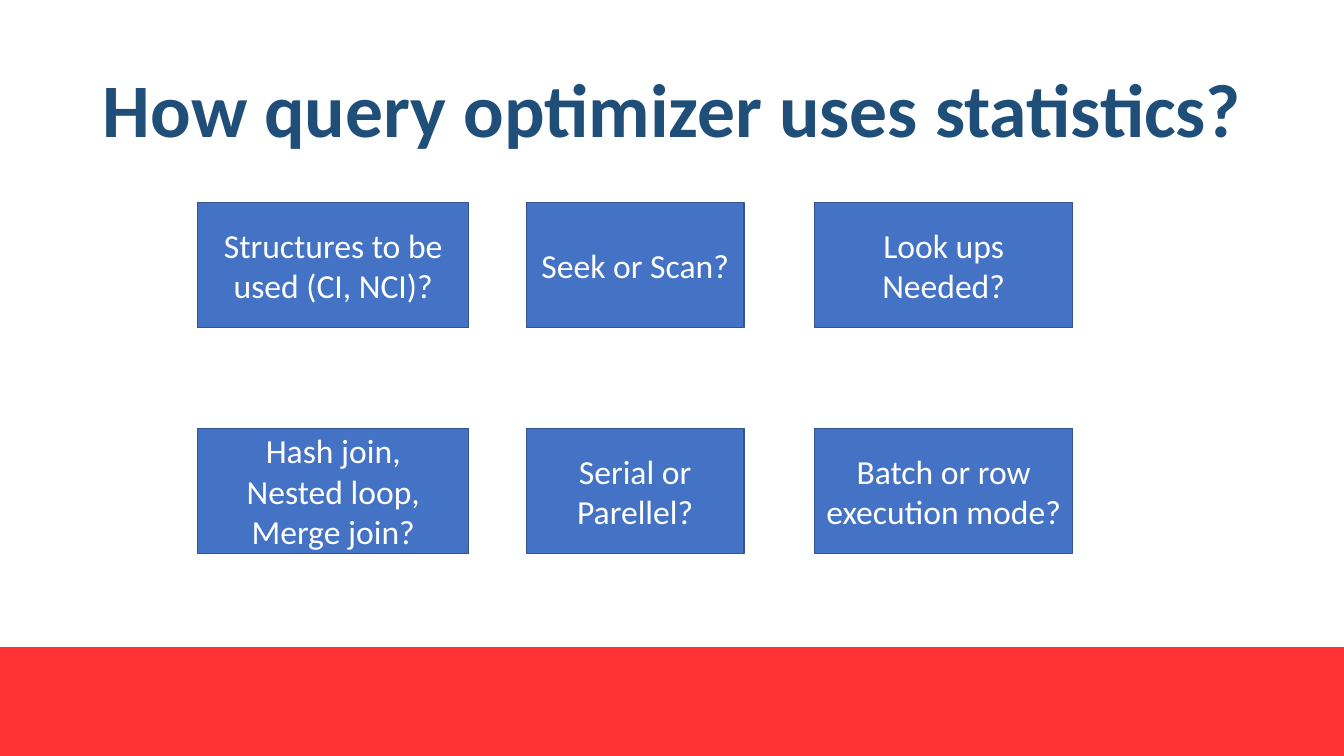
from dataclasses import dataclass

from pptx import Presentation
from pptx.dml.color import RGBColor
from pptx.enum.shapes import MSO_SHAPE
from pptx.enum.text import MSO_ANCHOR, PP_ALIGN
from pptx.util import Inches, Pt

RECT = MSO_SHAPE.RECTANGLE
MIDDLE = MSO_ANCHOR.MIDDLE
LEFT, CENTER = PP_ALIGN.LEFT, PP_ALIGN.CENTER


@dataclass
class Theme:
    font: str = "Calibri"
    navy: RGBColor = RGBColor(0x1F, 0x4E, 0x79)
    blue: RGBColor = RGBColor(0x44, 0x72, 0xC4)
    edge: RGBColor = RGBColor(0x32, 0x54, 0x91)
    red: RGBColor = RGBColor(0xFF, 0x33, 0x33)
    white: RGBColor = RGBColor(0xFF, 0xFF, 0xFF)
    head: int = 54
    body: int = 24


theme = Theme()


def write(shape, text, size, color, bold=False, align=CENTER, space=1.0):
    frame = shape.text_frame
    frame.word_wrap = True
    frame.vertical_anchor = MIDDLE
    frame.text = text
    for para in frame.paragraphs:
        para.alignment = align
        para.line_spacing = space
        for run in para.runs:
            run.font.name = theme.font
            run.font.size = Pt(size)
            run.font.bold = bold
            run.font.color.rgb = color


def add_box(shapes, left, top, width, height, fill):
    box = shapes.add_shape(RECT, Inches(left), Inches(top), Inches(width), Inches(height))
    box.shadow.inherit = False
    box.fill.solid()
    box.fill.fore_color.rgb = fill
    box.line.fill.background()
    return box


deck = Presentation()
deck.slide_width, deck.slide_height = Inches(13.33), Inches(7.5)
slide = deck.slides.add_slide(deck.slide_layouts[5])

add_box(slide.shapes, 0, 6.42, 13.33, 1.08, theme.red)

title = slide.shapes.title
title.left, title.top = Inches(0.92), Inches(0.4)
title.width, title.height = Inches(11.5), Inches(1.45)
write(title, "How query optimizer uses statistics?", theme.head, theme.navy,
      bold=True, align=LEFT, space=0.9)

cols = [(1.96, 2.69), (5.22, 2.16), (8.08, 2.56)]
rows = [
    (2.01, ["Structures to be used (CI, NCI)?", "Seek or Scan?", "Look ups Needed?"]),
    (4.25, ["Hash join,\nNested loop, Merge join?", "Serial or Parellel?",
            "Batch or row execution mode?"]),
]
group = slide.shapes.add_group_shape()
for top, texts in rows:
    for (left, width), text in zip(cols, texts):
        box = add_box(group.shapes, left, top, width, 1.24, theme.blue)
        box.line.color.rgb = theme.edge
        box.line.width = Pt(1)
        write(box, text, theme.body, theme.white)

deck.save("out.pptx")
